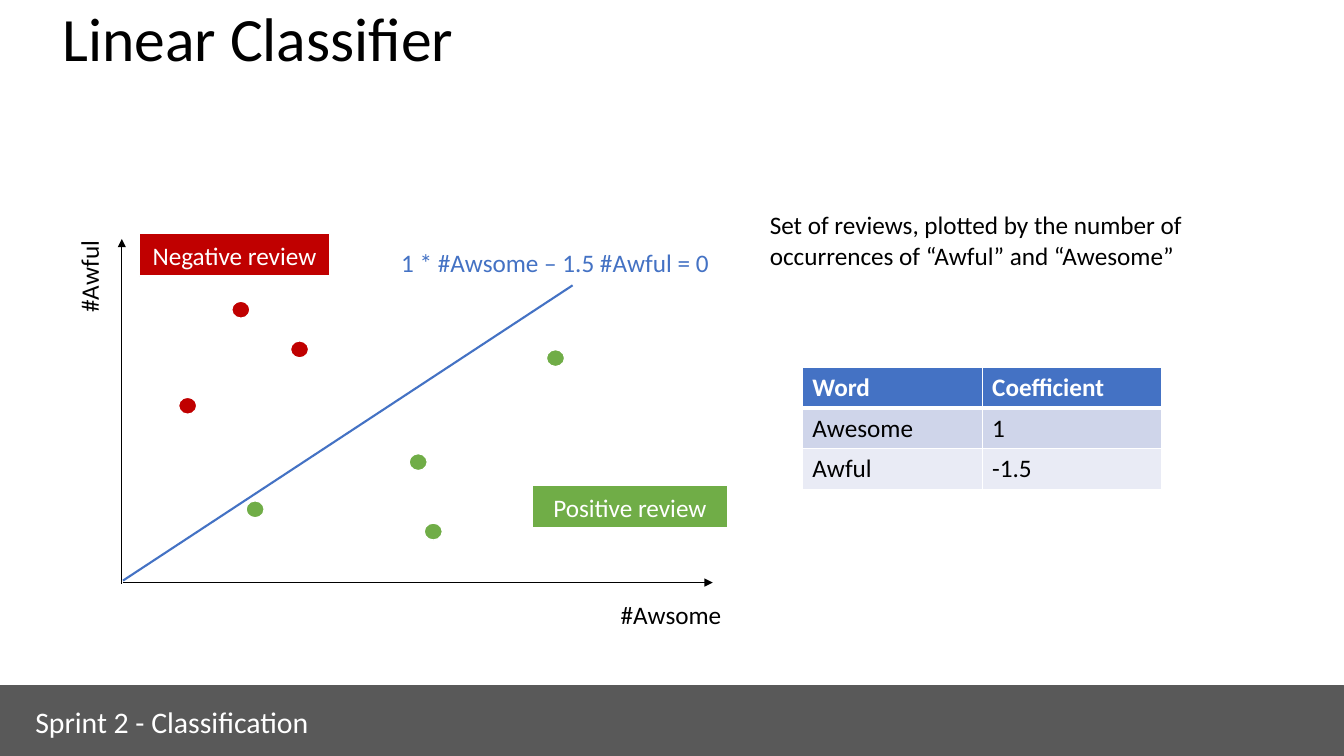
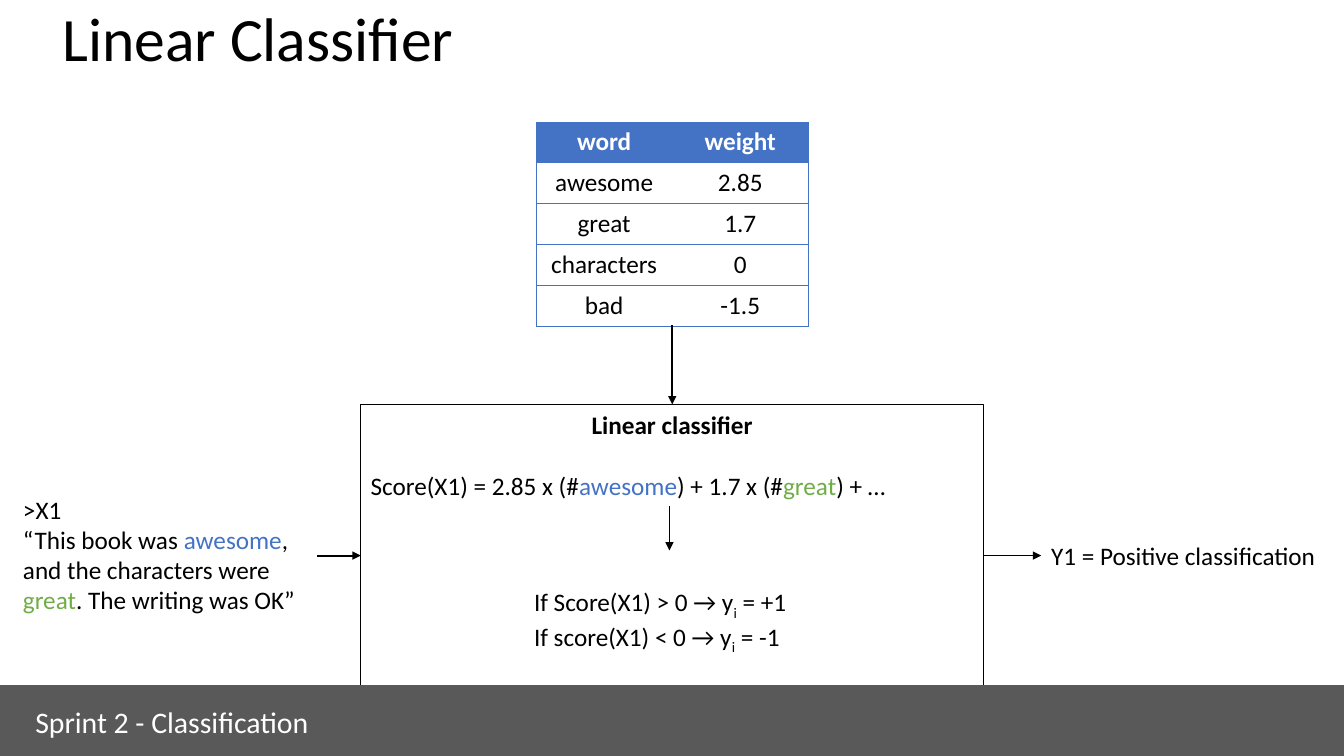
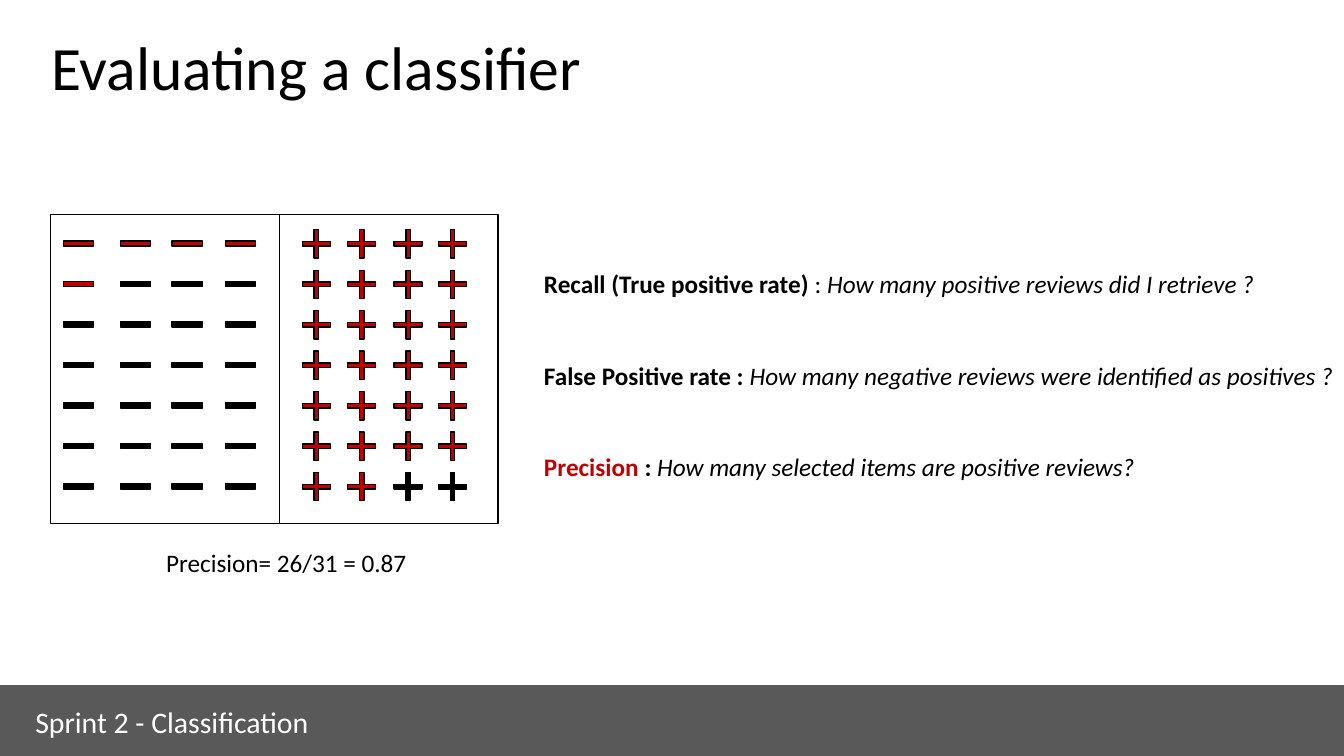
from itertools import product

from lxml import etree
from pptx import Presentation
from pptx.dml.color import RGBColor
from pptx.enum import shapes, text
from pptx.oxml.ns import qn
from pptx.util import Cm, Pt

BLACK = RGBColor(0, 0, 0)
WHITE = RGBColor(255, 255, 255)
GREY = RGBColor(0x59, 0x59, 0x59)
BLUE = RGBColor(0x44, 0x72, 0xC4)
RED = RGBColor(0xC0, 0, 0)
GREEN = RGBColor(0x70, 0xAD, 0x47)
BAND_DARK = RGBColor(0xCF, 0xD5, 0xEA)
BAND_LIGHT = RGBColor(0xE9, 0xEB, 0xF5)

FONT = "Calibri"
BODY, TITLE, FOOTER = 18, 44, 21.3
LINE_GAP = 22  # points taken by one line of body text
CENTER = text.PP_ALIGN.CENTER
MIDDLE = text.MSO_ANCHOR.MIDDLE
OVAL = shapes.MSO_SHAPE.OVAL
RECT = shapes.MSO_SHAPE.RECTANGLE
PLUS = shapes.MSO_SHAPE.CROSS

# Content: a paragraph is a list of (words, style) runs; places are in cm.
FOOTER_WORDS = "Sprint 2 - Classification"
BOLD, ITALIC, SUB = {"bold": True}, {"italic": True}, {"subscript": True}
AWESOME = ("awesome", {"color": BLUE})
GREAT = ("great", {"color": GREEN})

REVIEW_DOTS = [
    (RED, [(4.5, 10.01), (7.32, 8.59), (5.84, 7.59)]),
    (GREEN, [(10.31, 11.43), (6.2, 12.62), (13.77, 8.81), (10.69, 13.18)]),
]
REVIEW_LABELS = [
    ("Positive review", GREEN, (13.41, 12.24, 4.93, 1.07)),
    ("Negative review", RED, (3.51, 5.89, 4.8, 1.07)),
]
COEFFICIENTS = [("Word", "Coefficient"), ("Awesome", "1"), ("Awful", "-1.5")]
WEIGHTS = [("word", "weight"), ("awesome", "2.85"), ("great", "1.7"),
           ("characters", "0"), ("bad", "-1.5")]
REVIEW = [
    [(">X1", {})],
    [("“This book was ", {}), AWESOME, (", and the characters were ", {}),
     GREAT, (". The writing was OK”", {})],
]
SCORE = [("Score(X1) = 2.85 x (#", {}), AWESOME, (") + 1.7 x (#", {}),
         GREAT, (") + …", {})]
DECISION = [
    [("If Score(X1) > 0 → y", {}), ("i", SUB), (" = +1", {})],
    [("If score(X1) < 0 → y", {}), ("i", SUB), (" = -1", {})],
]
MEASURES = [
    [("Recall (True positive rate) ", BOLD), (": ", {}),
     ("How many positive reviews did I retrieve ?", ITALIC)],
    [("False Positive rate : ", BOLD),
     ("How many negative reviews were identified as positives ?", ITALIC)],
    [("Precision ", {"bold": True, "color": RED}), (": ", BOLD),
     ("How many selected items are positive reviews?", ITALIC)],
]
# preset, column lefts, first row top, size, number selected
MARKS = [
    (PLUS, (7.62, 8.76, 9.93, 11.05), 5.79, (0.71, 0.71), 26),
    (RECT, (1.6, 3.04, 4.34, 5.68), 6.07, (0.76, 0.13), 5),
]
MARK_ROWS, MARK_PITCH = 7, 1.02


def lengths(place):
    return [Cm(value) for value in place]


def write(frame, paragraphs, size=BODY, color=BLACK, align=None, gap=0):
    """Fill a text frame; gap is the space in points between paragraphs."""
    frame.word_wrap = True
    for index, runs in enumerate(paragraphs):
        paragraph = frame.paragraphs[0] if index == 0 else frame.add_paragraph()
        paragraph.alignment = align or text.PP_ALIGN.LEFT
        if index and gap:
            paragraph.space_before = Pt(gap)
        for words, style in runs:
            run = paragraph.add_run()
            run.text = words
            run.font.name, run.font.size = FONT, Pt(size)
            run.font.color.rgb = style.get("color", color)
            run.font.bold = style.get("bold", False)
            run.font.italic = style.get("italic", False)
            if style.get("subscript"):
                run._r.get_or_add_rPr().set("baseline", "-25000")


def add_text(slide, place, paragraphs, **options):
    if isinstance(paragraphs, str):
        paragraphs = [[(paragraphs, {})]]
    box = slide.shapes.add_textbox(*lengths(place))
    box.text_frame.vertical_anchor = text.MSO_ANCHOR.TOP
    write(box.text_frame, paragraphs, **options)
    return box


def add_figure(slide, preset, place, fill, line, width=1):
    figure = slide.shapes.add_shape(preset, *lengths(place))
    figure.shadow.inherit = False
    figure.fill.solid()
    figure.fill.fore_color.rgb = fill
    figure.line.color.rgb = line
    figure.line.width = Pt(width)
    return figure


def add_line(slide, ends, width, color=BLACK, arrow=True):
    line = slide.shapes.add_connector(shapes.MSO_CONNECTOR.STRAIGHT, *lengths(ends))
    line.line.color.rgb = color
    line.line.width = Pt(width)
    if arrow:
        etree.SubElement(line.line._get_or_add_ln(), qn("a:tailEnd"), type="triangle")
    etree.SubElement(line._element.spPr, qn("a:effectLst"))


def set_borders(cell, borders):
    """Draw borders given as {side: (colour, points) or None}."""
    properties = cell._tc.get_or_add_tcPr()
    for side in "LRTB":
        color, width = borders[side] or (None, 0)
        edge = etree.SubElement(properties, qn("a:ln" + side), w=str(Pt(width)))
        if color is None:
            etree.SubElement(edge, qn("a:noFill"))
        else:
            fill = etree.SubElement(edge, qn("a:solidFill"))
            etree.SubElement(fill, qn("a:srgbClr"), val=str(color))


def add_table(slide, place, rows, fills, borders_at, align=None):
    """Add a table; fills has one colour a row, borders_at maps (row, column)."""
    table = slide.shapes.add_table(len(rows), len(rows[0]), *lengths(place)).table
    table.first_row = table.horz_banding = False
    for r, row in enumerate(rows):
        for c, words in enumerate(row):
            cell = table.cell(r, c)
            set_borders(cell, borders_at(r, c))
            if fills[r] is None:
                cell.fill.background()
            else:
                cell.fill.solid()
                cell.fill.fore_color.rgb = fills[r]
            header = r == 0
            write(cell.text_frame, [[(words, {"bold": header})]],
                  color=WHITE if header else BLACK, align=align)


def white_grid(row, column):
    thin, thick = (WHITE, 1), (WHITE, 3)
    return {"L": thin, "R": thin, "T": thick if row == 1 else thin,
            "B": thick if row == 0 else thin}


def blue_rules(row, column):
    rule = (BLUE, 0.5)
    return {"L": rule if column == 0 else None, "R": rule if column == 1 else None,
            "T": rule, "B": rule}


def add_title(slide, words, left=1.32, top=0.08):
    title = add_text(slide, (left, top, 30.48, 3.18), words, size=TITLE)
    title.text_frame.paragraphs[0].line_spacing = 0.9


def add_footer(slide):
    add_figure(slide, RECT, (-0.05, 17.27, 33.91, 1.78), GREY, GREY)
    add_text(slide, (0.64, 17.6, 8.53, 1.17), FOOTER_WORDS, size=FOOTER, color=WHITE)


def build_plot(slide):
    add_title(slide, "Linear Classifier")
    add_line(slide, (3.07, 14.71, 3.07, 6.02), 0.5)
    add_line(slide, (3.1, 14.68, 17.96, 14.68), 0.5)
    add_text(slide, (0.97, 6.35, 2.54, 1.02), "#Awful").rotation = 270
    add_text(slide, (15.39, 14.99, 3.12, 1.02), "#Awsome")
    add_line(slide, (3.1, 14.63, 14.43, 7.19), 1.5, BLUE, arrow=False)
    for color, dots in REVIEW_DOTS:
        for left, top in dots:
            add_figure(slide, OVAL, (left, top, 0.46, 0.43), color, WHITE)
    add_text(slide, (19.15, 5.16, 12.34, 1.8),
             "Set of reviews, plotted by the number of occurrences of “Awful” and “Awesome”")
    add_text(slide, (9.86, 6.1, 8.89, 1.02), "1 * #Awsome – 1.5 #Awful = 0", color=BLUE)
    for words, color, place in REVIEW_LABELS:
        label = add_figure(slide, RECT, place, color, WHITE)
        label.text_frame.vertical_anchor = MIDDLE
        write(label.text_frame, [[(words, {})]], color=WHITE, align=CENTER)
    add_table(slide, (20.22, 9.25, 9.06, 3.09), COEFFICIENTS,
              [BLUE, BAND_DARK, BAND_LIGHT], white_grid)


def build_score(slide):
    add_title(slide, "Linear Classifier")
    add_text(slide, (0.33, 12.32, 7.7, 3.33), REVIEW)
    classifier = add_figure(slide, RECT, (9.09, 10.19, 15.7, 7.65), WHITE, BLACK)
    classifier.text_frame.vertical_anchor = text.MSO_ANCHOR.TOP
    write(classifier.text_frame, [[("Linear classifier", BOLD)], SCORE], gap=LINE_GAP)
    classifier.text_frame.paragraphs[0].alignment = CENTER
    add_table(slide, (13.51, 3.07, 6.86, 5.15), WEIGHTS,
              [BLUE] + [None] * 4, blue_rules, align=CENTER)
    add_line(slide, (16.94, 8.2, 16.94, 10.19), 1.5)
    add_line(slide, (8, 14, 9.09, 14), 1.5)
    add_line(slide, (16.87, 12.75, 16.87, 13.87), 0.5)
    add_line(slide, (24.79, 14, 26.24, 14), 0.5)
    add_text(slide, (26.24, 13.49, 7.65, 1.02), "Y1 = Positive classification")
    add_text(slide, (13.21, 14.66, 10.01, 1.8), DECISION)


def build_evaluation(slide):
    add_title(slide, "Evaluating a classifier", left=1.04, top=0.81)
    add_text(slide, (13.46, 6.63, 22.25, 7.19), MEASURES, gap=2 * LINE_GAP)
    add_figure(slide, RECT, (1.27, 5.4, 5.79, 7.8), WHITE, BLACK)
    add_figure(slide, RECT, (7.04, 5.4, 5.51, 7.8), WHITE, BLACK)
    for preset, lefts, top, size, selected in MARKS:
        for index, (row, left) in enumerate(product(range(MARK_ROWS), lefts)):
            place = (left, top + row * MARK_PITCH, *size)
            mark = add_figure(slide, preset, place,
                              RED if index < selected else BLACK, BLACK)
            if preset == PLUS:
                mark.adjustments[0] = 0.42
    add_text(slide, (3.94, 13.67, 7.77, 1.02), "Precision= 26/31 = 0.87")


def main():
    deck = Presentation()
    deck.slide_width, deck.slide_height = Cm(33.87), Cm(19.05)
    for build in (build_plot, build_score, build_evaluation):
        slide = deck.slides.add_slide(deck.slide_layouts[6])
        build(slide)
        add_footer(slide)
    deck.save("out.pptx")


if __name__ == "__main__":
    main()
